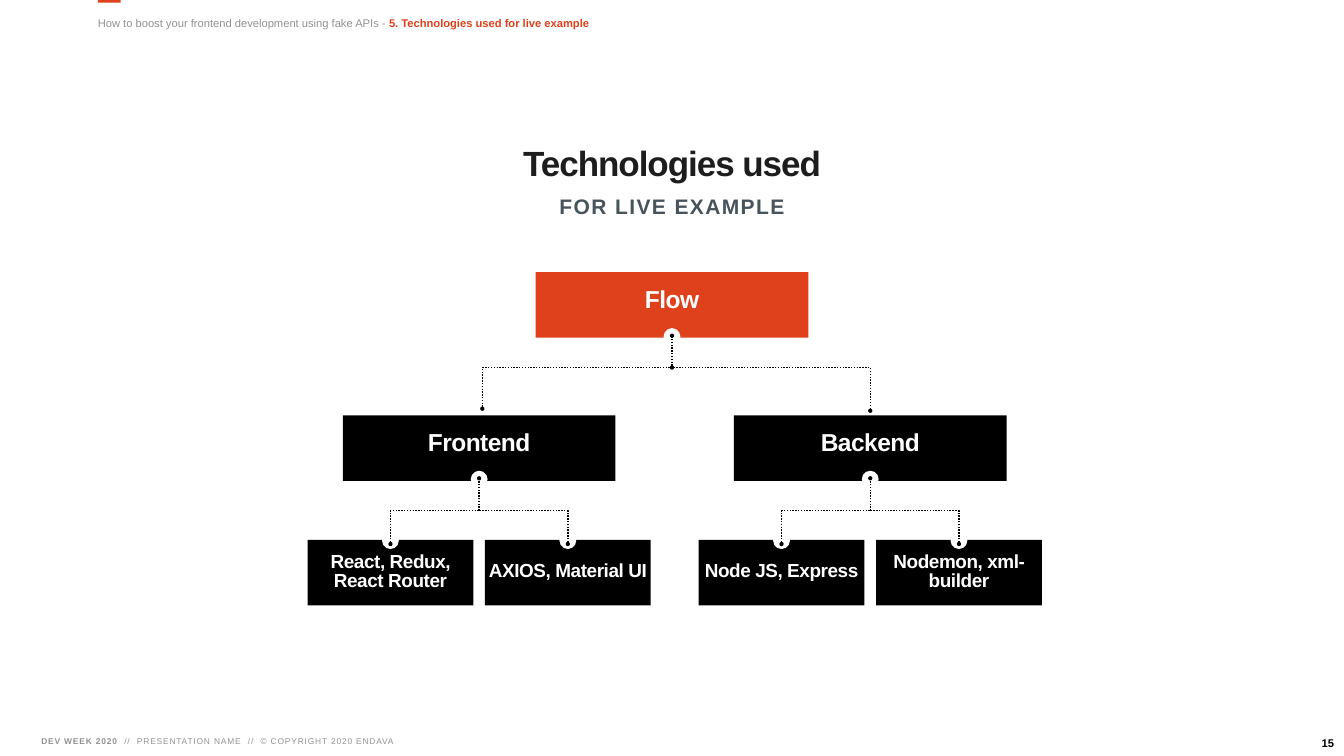
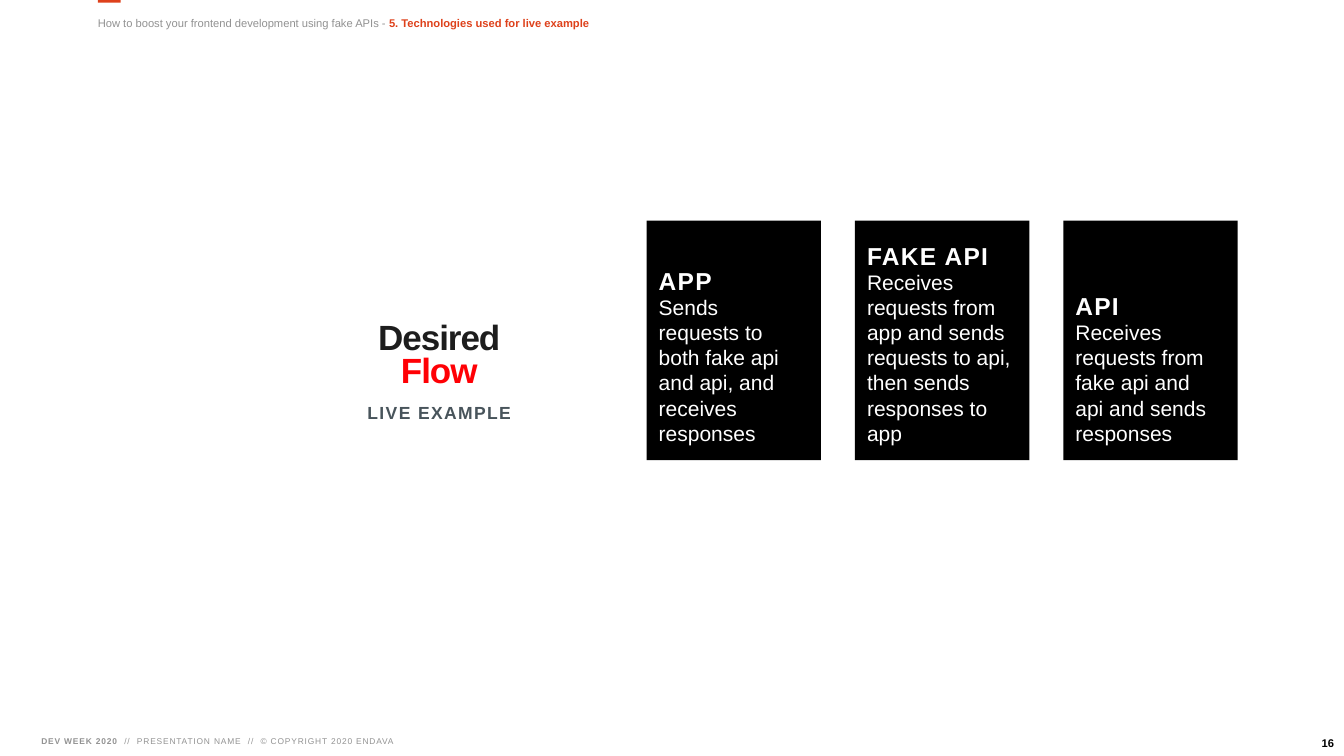
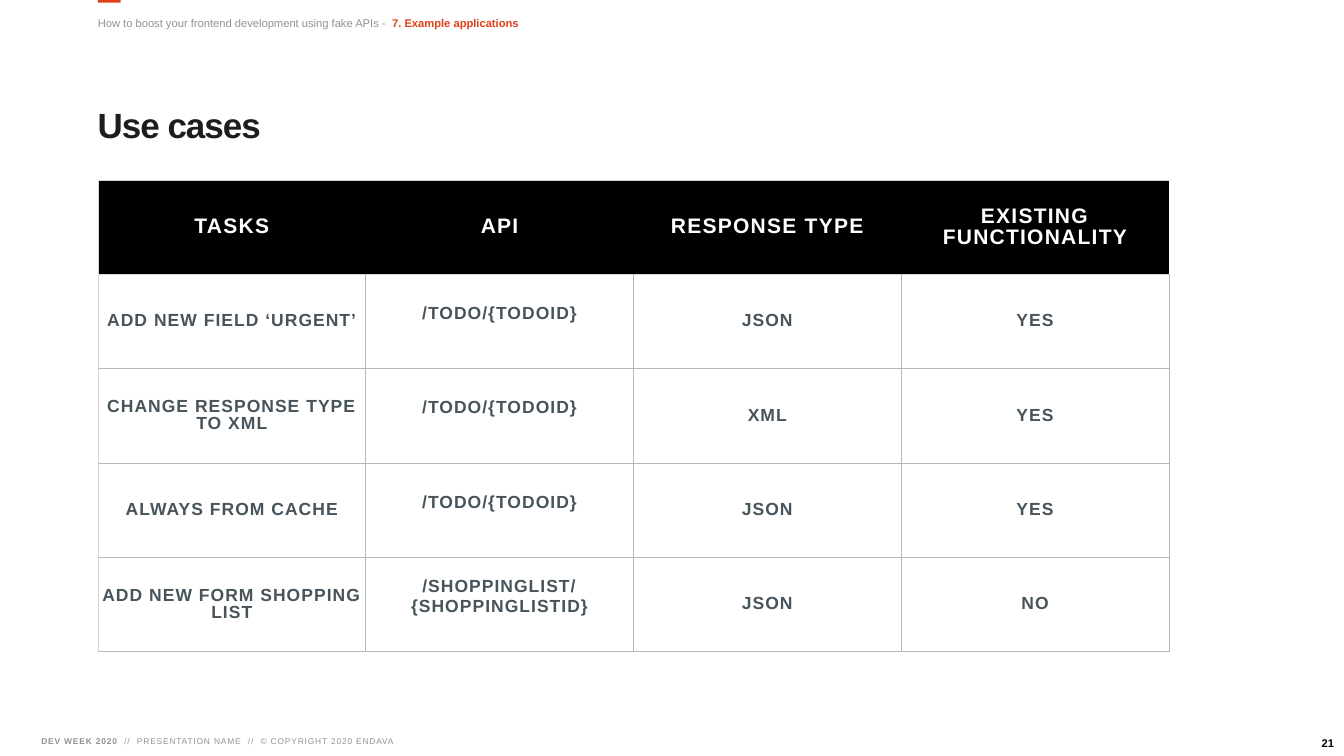
from lxml import etree
from pptx import Presentation
from pptx import util as u
from pptx.dml.color import RGBColor
from pptx.enum import dml, shapes, text
from pptx.oxml import ns

# Grid: the slide is 80 columns by 45 rows of square cells
CELL = u.Inches(1) // 3
COLUMNS, ROWS = 80, 45

FONT = "Arial"
ACCENT, RED = "DE411B", "FF0005"
BLACK, WHITE, INK, SLATE = "000000", "FFFFFF", "1D1D1D", "48545B"
GREY, RULE, PALE_RULE = "929292", "B8B8B8", "D5D5D5"

TALK = "How to boost your frontend development using fake APIs - "
LIVE_EXAMPLE = "5. Technologies used for live example"
TITLE = dict(size=50, color=INK, bold=True, spacing=-1.5)
SUBTITLE = dict(color=SLATE, bold=True, spacing=2)


def grid(*cells):
    return [u.Emu(round(cell * CELL)) for cell in cells]


def rgb(value):
    return RGBColor.from_string(value)


def child(parent, tag, **attributes):
    return etree.SubElement(parent, ns.qn(tag), attributes)


# Text
def add_span(para, words, size=16, color=BLACK, bold=False, spacing=0):
    span = para.add_run()
    span.text = words
    span.font.name, span.font.size, span.font.bold = FONT, u.Pt(size), bold
    span.font.color.rgb = rgb(color)
    if spacing:
        span.font._element.set("spc", str(round(spacing * 100)))


def fill_para(para, spans, align="LEFT", line=1.0, before=0):
    para.alignment = getattr(text.PP_ALIGN, align)
    para.line_spacing = line
    if before:
        para.space_before = u.Pt(before)
    for words, style in spans:
        add_span(para, words, **style)


def add_text(page, box, paras, anchor="MIDDLE", inset=0.18):
    """Each of paras is a list of (words, style) spans and a dict of paragraph format."""
    frame = page.shapes.add_textbox(*grid(*box)).text_frame
    frame.word_wrap = True
    frame.vertical_anchor = getattr(text.MSO_ANCHOR, anchor)
    frame.margin_left, frame.margin_top, frame.margin_right, frame.margin_bottom = grid(*[inset] * 4)
    for index, (spans, style) in enumerate(paras):
        para = frame.add_paragraph() if index else frame.paragraphs[0]
        fill_para(para, spans, **style)


# Shapes and lines
def add_block(page, box, color, kind=shapes.MSO_SHAPE.RECTANGLE):
    block = page.shapes.add_shape(kind, *grid(*box))
    block.shadow.inherit = False
    block.fill.solid()
    block.fill.fore_color.rgb = rgb(color)
    block.line.fill.background()


def add_disc(page, x, y):
    add_block(page, (x - 0.5, y - 0.5, 1, 1), WHITE, shapes.MSO_SHAPE.OVAL)


def dot_line(item, *ends):
    item.line.color.rgb = rgb(BLACK)
    item.line.width = u.Pt(2)
    item.line.dash_style = dml.MSO_LINE.ROUND_DOT
    for end in ends:
        child(item.line._get_or_add_ln(), end, type="oval")


def add_elbow(page, start, finish):
    """Rise from start, then run level to finish."""
    builder = page.shapes.build_freeform(*grid(*start))
    builder.add_line_segments([grid(start[0], finish[1]), grid(*finish)], close=False)
    elbow = builder.convert_to_shape()
    elbow.shadow.inherit = False
    elbow.fill.background()
    dot_line(elbow, "a:headEnd")


def add_trunk(page, x, bottom, top, *ends):
    trunk = page.shapes.add_connector(shapes.MSO_CONNECTOR.STRAIGHT, *grid(x, bottom, x, top))
    dot_line(trunk, *ends)
    child(trunk._element.spPr, "a:effectLst")


# Parts shared by every slide
def add_page(deck, section, number, header_width=30.5, gap=""):
    page = deck.slides.add_slide(deck.slide_layouts[6])
    add_block(page, (5.83, 0, 1.35, 0.15), ACCENT)
    footer = dict(size=12, color=GREY, spacing=1.2)
    add_text(page, (2.22, 43.65, 69.96, 1.05), [
        ([("DEV WEEK 2020  ", dict(footer, bold=True)),
          ("//  PRESENTATION NAME  //  © COPYRIGHT 2020 ENDAVA", footer)], dict(line=0.9))], inset=0.24)
    add_text(page, (78.35, 43.6, 1.3, 1.25), [([(number, dict(bold=True))], dict(align="RIGHT"))],
             anchor="TOP", inset=0.24)
    add_text(page, (5.58, 0.7, header_width, 1.3), [
        ([(TALK + gap, dict(color=GREY)), (section, dict(color=ACCENT, bold=True))], {})], inset=0.24)
    return page


def add_heading(page, box, lines, subtitle, size, anchor):
    paras = [([(words, dict(TITLE, color=color))], dict(align="CENTER", line=0.8)) for words, color in lines]
    paras.append(([(subtitle, dict(SUBTITLE, size=size))], dict(align="CENTER", line=0.9, before=20)))
    add_text(page, box, paras, anchor)


# Technology tree
NODE_HEIGHT = 3.9
BRANCH = dict(width=16.23, margin=0.6, lift=0.15, line=0.7, size=35, spacing=-0.8)
LEAF = dict(width=9.87, margin=0, lift=0, line=0.8, size=27, spacing=-0.6)
ROOT_TOP, BRANCH_TOP, LEAF_TOP = 16.2, 24.72, 32.13
LEAF_OFFSET = 5.28


def add_node(page, center, top, label, width, margin, lift, line, size, spacing, color=BLACK):
    left = center - width / 2
    add_block(page, (left, top, width, NODE_HEIGHT), color)
    add_text(page, (left + margin, top + 1.11 - lift, width - 2 * margin, 1.68), [
        ([(label, dict(size=size, color=WHITE, bold=True, spacing=spacing))],
         dict(align="CENTER", line=line))])


def add_branch(page, center, label, leaves):
    add_node(page, center, BRANCH_TOP, label, **BRANCH)
    bottom, bend = BRANCH_TOP + NODE_HEIGHT, 30.4
    add_disc(page, center, bottom - 0.1)
    for side, leaf in zip((-1, 1), leaves):
        x = center + side * LEAF_OFFSET
        add_node(page, x, LEAF_TOP, leaf, **LEAF)
        add_disc(page, x, LEAF_TOP + 0.05)
        add_elbow(page, (x, LEAF_TOP + 0.25), (center, bend))
    add_trunk(page, center, bend, bottom - 0.15, "a:tailEnd")


def technologies_slide(deck):
    page = add_page(deck, LIVE_EXAMPLE, "15")
    center, bend = COLUMNS / 2, 21.88
    add_branch(page, 28.52, "Frontend", ("React, Redux, React Router", "AXIOS, Material UI"))
    add_branch(page, 51.8, "Backend", ("Node JS, Express", "Nodemon, xml-builder"))
    add_node(page, center, ROOT_TOP, "Flow", color=ACCENT, **BRANCH)
    bottom = ROOT_TOP + NODE_HEIGHT
    add_disc(page, center, bottom - 0.07)
    for start in ((28.71, 24.33), (51.8, 24.45)):
        add_elbow(page, start, (center, bend))
    add_trunk(page, center, bend, bottom - 0.12, "a:headEnd", "a:tailEnd")
    add_heading(page, (18.3, 8.7, 43.41, 4.56), [("Technologies used", INK)], "FOR LIVE EXAMPLE", 30, "TOP")


# Flow cards
CARDS = [
    ("APP", "Sends requests to both fake api and api, and receives responses"),
    ("FAKE API", "Receives requests from app and sends requests to api, then sends responses to app"),
    ("API", "Receives requests from fake api and api and sends responses"),
]


def add_card(page, box, name, role):
    left, top, width, height = box
    add_block(page, box, BLACK)
    add_text(page, (left + 0.72, top + 2.16, width - 1.74, height - 3.03), [
        ([(name, dict(size=35, color=WHITE, bold=True, spacing=1.8))], dict(line=0.7)),
        ([(role, dict(size=30, color=WHITE))], {})], anchor="BOTTOM", inset=0)


def flow_slide(deck):
    page = add_page(deck, LIVE_EXAMPLE, "16")
    add_heading(page, (18.72, 19.05, 14.85, 6.36), [("Desired", INK), ("Flow", RED)],
                "LIVE EXAMPLE", 25, "MIDDLE")
    for index, (name, role) in enumerate(CARDS):
        add_card(page, (38.49 + 12.4 * index, 13.14, 10.38, 14.25), name, role)


# Use case table
USE_CASES = [
    ("TASKS", "API", "RESPONSE TYPE", "EXISTING FUNCTIONALITY"),
    ("ADD NEW FIELD ‘URGENT’", "/TODO/{TODOID}", "JSON", "YES"),
    ("CHANGE RESPONSE TYPE TO XML", "/TODO/{TODOID}", "XML", "YES"),
    ("ALWAYS FROM CACHE", "/TODO/{TODOID}", "JSON", "YES"),
    ("ADD NEW FORM SHOPPING LIST", "/SHOPPINGLIST/ {SHOPPINGLISTID}", "JSON", "NO"),
]


def set_borders(cell, colors):
    """Colours for left, right, top and bottom; None leaves a side bare."""
    properties = cell._tc.get_or_add_tcPr()
    for index, (side, color) in enumerate(zip("LRTB", colors)):
        border = etree.Element(ns.qn(f"a:ln{side}"), w=str(u.Pt(1) if color else 0))
        if color:
            child(child(border, "a:solidFill"), "a:srgbClr", val=color)
        else:
            child(border, "a:noFill")
        properties.insert(index, border)


def fill_cell(cell, words, row, column):
    heading, path_cell = row == 0, row > 0 and column == 1
    cell.fill.solid()
    cell.fill.fore_color.rgb = rgb(BLACK if heading else WHITE)
    cell.vertical_anchor = text.MSO_ANCHOR.MIDDLE
    cell.margin_left, cell.margin_right, cell.margin_top, cell.margin_bottom = grid(
        0.18, 0.18, 0.18, 1.14 if path_cell else 0.18)
    style = dict(size=30, color=WHITE, spacing=1.8) if heading else dict(size=25, color=SLATE, spacing=1.5)
    fill_para(cell.text_frame.paragraphs[0], [(words, dict(style, bold=True))],
              align="CENTER", line=1.0 if path_cell else 0.9)
    inner = None if heading else RULE
    set_borders(cell, (PALE_RULE if column == 0 else inner, inner,
                       PALE_RULE if row < 2 else RULE, PALE_RULE if heading else RULE))


def use_cases_slide(deck):
    page = add_page(deck, "7. Example applications", "21", header_width=25.9, gap=" ")
    table = page.shapes.add_table(len(USE_CASES), len(USE_CASES[0]), *grid(5.83, 10.72, 63.75, 28.08)).table
    table.first_row = table.horz_banding = False
    for row, entries in enumerate(USE_CASES):
        for column, words in enumerate(entries):
            fill_cell(table.cell(row, column), words, row, column)
    add_text(page, (5.64, 6.45, 45.09, 2.37), [([("Use cases", TITLE)], dict(line=0.8))])


def main():
    deck = Presentation()
    deck.slide_width, deck.slide_height = grid(COLUMNS, ROWS)
    technologies_slide(deck)
    flow_slide(deck)
    use_cases_slide(deck)
    deck.save("out.pptx")


if __name__ == "__main__":
    main()
